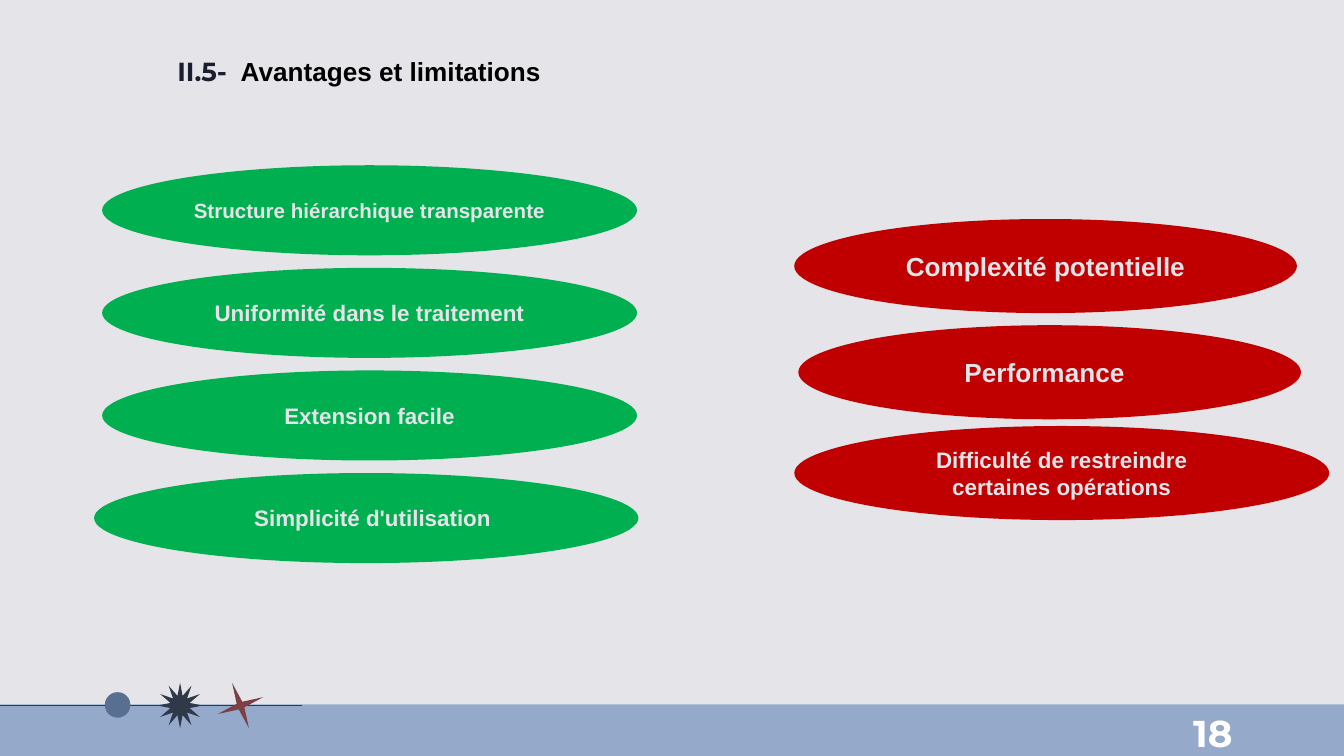
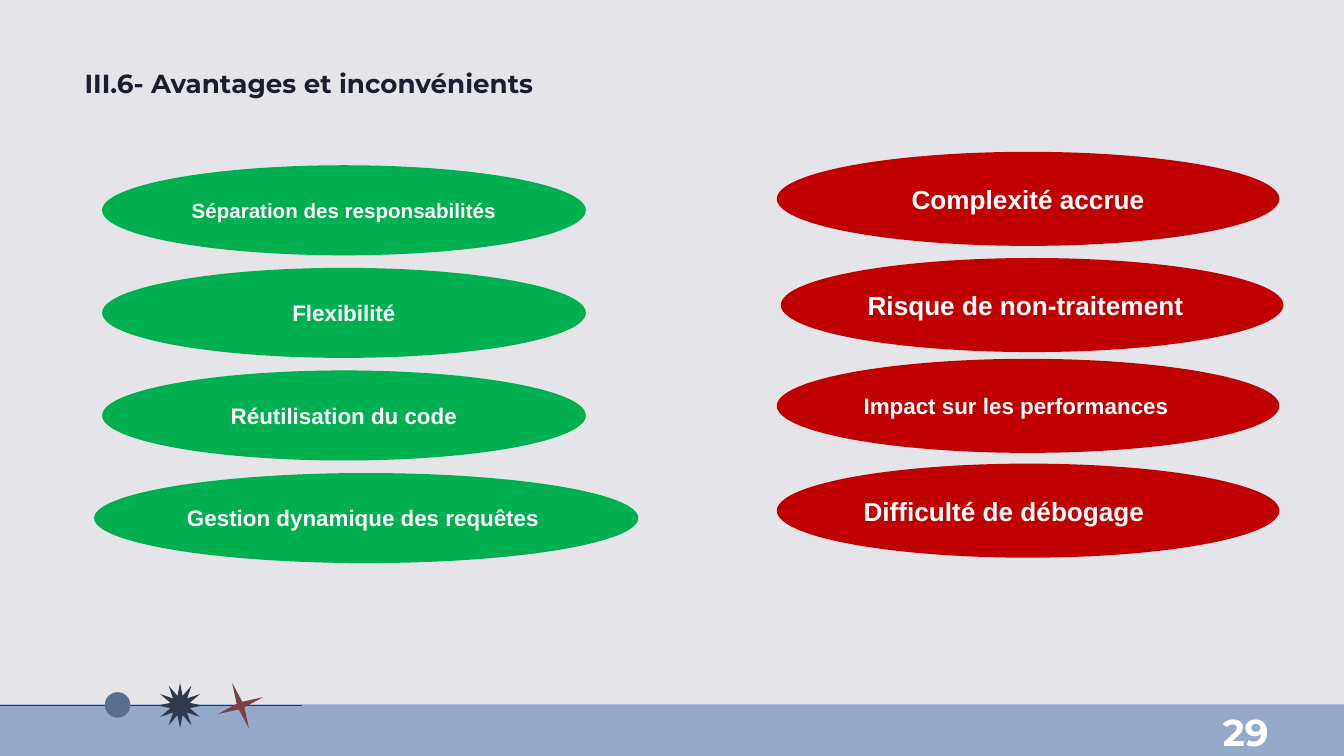
import pptx
import pptx.util
import pptx.dml.color
import pptx.enum.shapes
import pptx.enum.text
import pptx.oxml.ns
from lxml import etree

Inches = pptx.util.Inches
RGB = pptx.dml.color.RGBColor
KIND = pptx.enum.shapes.MSO_SHAPE
ALIGN = pptx.enum.text.PP_ALIGN
ANCHOR = pptx.enum.text.MSO_ANCHOR
qn = pptx.oxml.ns.qn

PALE = RGB(0xE5, 0xE4, 0xE9)
WHITE = RGB(0xFF, 0xFF, 0xFF)
BLACK = RGB(0, 0, 0)
INK = RGB(0x1B, 0x1E, 0x2E)
SLATE = RGB(0x30, 0x39, 0x4A)
BAND = RGB(0x95, 0xAA, 0xCB)
STEEL = RGB(0x59, 0x6F, 0x91)
WINE = RGB(0x7C, 0x3F, 0x43)
GREEN = RGB(0x00, 0xB0, 0x50)
RED = RGB(0xC0, 0x00, 0x00)
SANS, HEAD = "Arial", "Montserrat"

SLIDES = [
    {
        "title": [("II.5-\t", HEAD, INK), ("Avantages et limitations", SANS, BLACK)],
        "spot": (1.22, 0.36), "page": ("18", 8.78, 5.2), "ink": PALE,
        "wide": 3.98, "start": (5.91, 1.63), "widths": (3.74, 3.74, 3.98),
        "pros": [("Structure hiérarchique transparente", 11, None),
                 ("Uniformité dans le traitement", 12, None),
                 ("Extension facile", 12, None),
                 ("Simplicité d'utilisation", 12, 0.5)],
        "cons": [("Complexité potentielle", 14, None),
                 ("Performance", 14, 0.59),
                 ("Difficulté de restreindre certaines opérations", 12, None)],
    },
    {
        "title": [("III.6- Avantages et inconvénients", HEAD, INK)],
        "spot": (0.53, 0.45), "page": ("29", 9, 5.19), "ink": WHITE,
        "wide": 3.6, "start": (5.78, 1.13), "widths": (3.74,) * 4,
        "pros": [("Séparation des responsabilités", 11, None),
                 ("Flexibilité", 12, None),
                 ("Réutilisation du code", 12, None),
                 ("Gestion dynamique des requêtes", 12, 0)],
        "cons": [("Complexité accrue", 14, None),
                 ("Risque de non-traitement", 14, 0),
                 ("Impact sur les performances", 12, 0),
                 ("Difficulté de débogage", 14, 0)],
    },
]
TOP, LAST = 1.23, 3.52
DROPS = (0, 0.79, 1.54, 2.32)
NUDGE = (0, 0.03, 0, 0)
MARKS = [
    (KIND.OVAL, (0.78, 5.15, 0.19, 0.19), STEEL, None, 0),
    (KIND.STAR_4_POINT, (1.61, 5.07, 0.36, 0.36), WINE, 0.087, 339.6),
    (KIND.STAR_12_POINT, (1.17, 5.08, 0.34, 0.34), SLATE, 0.217, 0),
]


def write(frame, runs, size, align=ALIGN.LEFT, anchor=ANCHOR.MIDDLE,
          inset=(0.1, 0.05), indent=0, tab=None, lead=None):
    frame.word_wrap = True
    frame.vertical_anchor = anchor
    frame.margin_left = frame.margin_right = Inches(inset[0])
    frame.margin_top = frame.margin_bottom = Inches(inset[1])
    para = frame.paragraphs[0]
    para.alignment = align
    if lead:
        para.line_spacing = lead
    props = para._p.get_or_add_pPr()
    if indent:
        props.set("marL", str(Inches(indent)))
    if tab:
        stops = etree.SubElement(props, qn("a:tabLst"))
        etree.SubElement(stops, qn("a:tab"), pos=str(Inches(tab)), algn="l")
    for text, face, color in runs:
        run = para.add_run()
        run.text = text
        run.font.name = face
        run.font.size = pptx.util.Pt(size)
        run.font.bold = True
        run.font.color.rgb = color


def draw(slide, kind, box, fill):
    shape = slide.shapes.add_shape(kind, *map(Inches, box))
    shape.shadow.inherit = False
    shape.fill.solid()
    shape.fill.fore_color.rgb = fill
    shape.line.fill.background()
    return shape


def bubble(slide, box, fill, item, ink):
    text, size, indent = item
    mid = indent is None
    shape = draw(slide, KIND.OVAL, box, fill)
    write(shape.text_frame, [(text, SANS, ink)], size,
          align=ALIGN.CENTER if mid else ALIGN.LEFT,
          inset=(0.09 if mid else 0.1, 0.05), indent=indent or 0)


def footer(slide, text, left, top):
    draw(slide, KIND.RECTANGLE, (0, 5.24, 10, 0.39), BAND)
    ends = map(Inches, (-0.05, 5.25, 2.25, 5.25))
    line = slide.shapes.add_connector(
        pptx.enum.shapes.MSO_CONNECTOR.STRAIGHT, *ends)
    line.line.color.rgb = SLATE
    line.line.width = pptx.util.Pt(0.75)
    etree.SubElement(line._element.spPr, qn("a:effectLst"))
    for kind, box, fill, adjust, turn in MARKS:
        mark = draw(slide, kind, box, fill)
        mark.rotation = turn
        if adjust:
            mark.adjustments[0] = adjust
    page = slide.shapes.add_textbox(*map(Inches, (left, top, 0.61, 0.45)))
    write(page.text_frame, [(text, HEAD, WHITE)], 20,
          inset=(0.1, 0.1), lead=1.15)


def build(deck, data):
    slide = deck.slides.add_slide(deck.slide_layouts[5])
    footer(slide, *data["page"])
    title = slide.shapes.title
    title.left, title.top = map(Inches, data["spot"])
    title.width, title.height = Inches(5.03), Inches(0.34)
    write(title.text_frame, data["title"], 14, anchor=ANCHOR.TOP, tab=0.47)
    title.text_frame.auto_size = pptx.enum.text.MSO_AUTO_SIZE.SHAPE_TO_FIT_TEXT

    pros = data["pros"]
    end = len(pros) - 1
    for i, item in enumerate(pros):
        left, wide = (0.7, 4.05) if i == end else (0.76, data["wide"])
        top = TOP + (LAST - TOP) * i / end
        bubble(slide, (left, top, wide, 0.67), GREEN, item, data["ink"])
    left, top = data["start"]
    rows = zip(data["cons"], data["widths"], DROPS, NUDGE)
    for item, wide, drop, nudge in rows:
        box = (left + nudge, top + drop, wide, 0.7)
        bubble(slide, box, RED, item, data["ink"])


def main():
    deck = pptx.Presentation()
    deck.slide_width = Inches(10)
    deck.slide_height = Inches(10 * 9 / 16)
    back = deck.slide_master.background.fill
    back.solid()
    back.fore_color.rgb = PALE
    for data in SLIDES:
        build(deck, data)
    deck.save("out.pptx")


if __name__ == "__main__":
    main()
